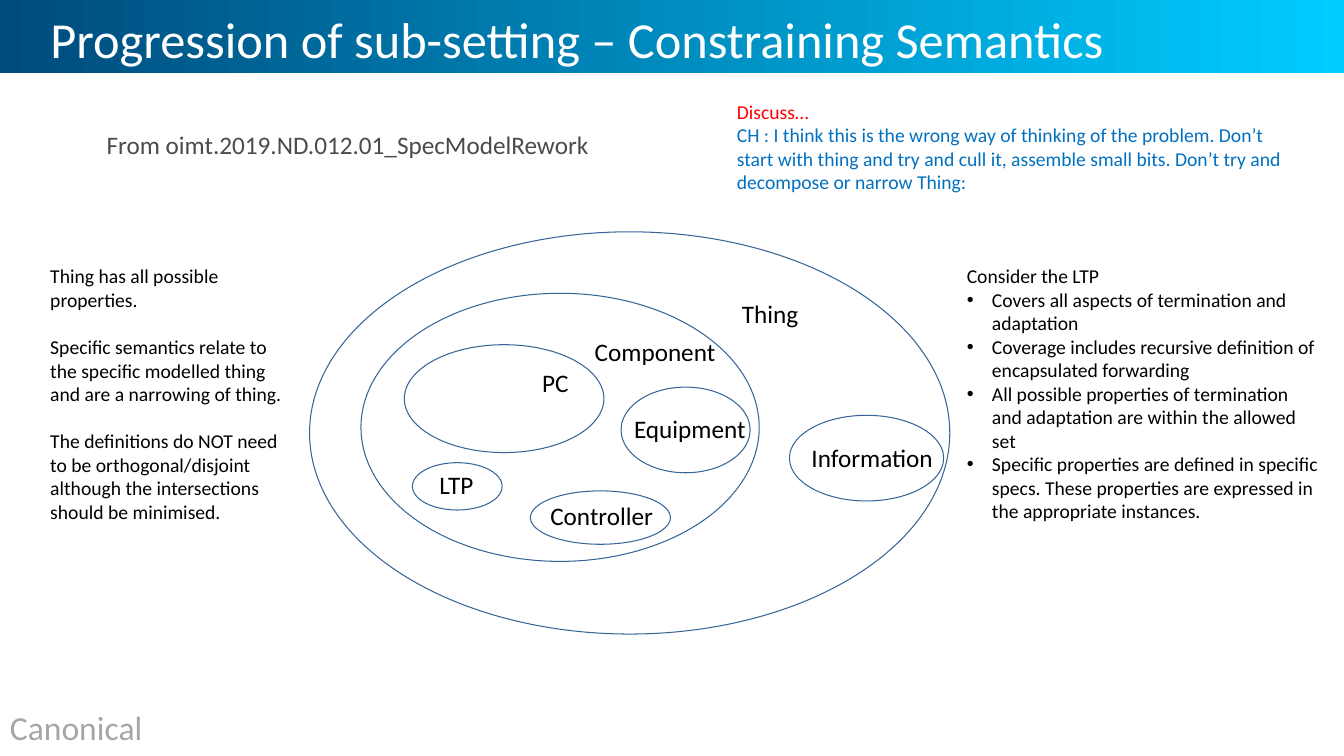
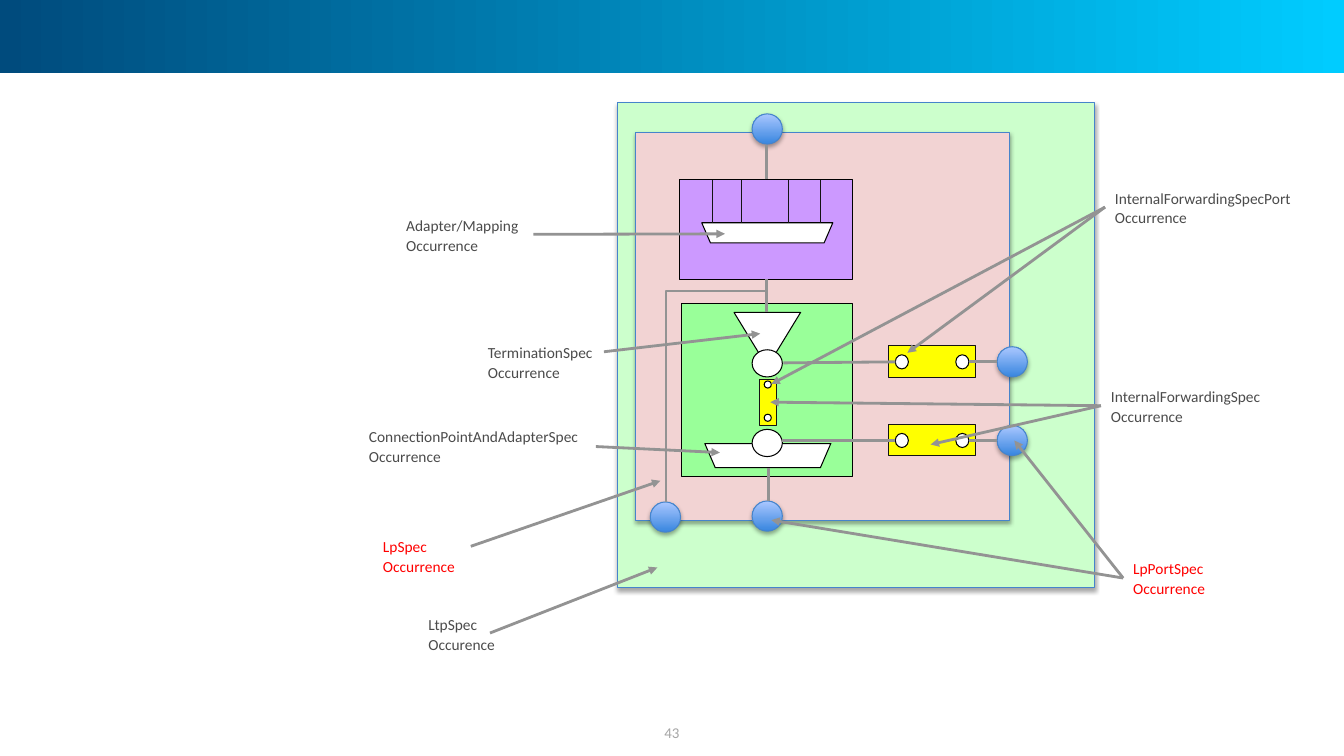
from lxml import etree
from pptx import Presentation
from pptx.dml.color import RGBColor
from pptx.enum.shapes import MSO_CONNECTOR, MSO_SHAPE
from pptx.enum.text import MSO_ANCHOR, MSO_AUTO_SIZE, PP_ALIGN
from pptx.oxml.ns import qn
from pptx.util import Inches, Pt

RECT, OVAL = MSO_SHAPE.RECTANGLE, MSO_SHAPE.OVAL
TRIANGLE, TRAPEZOID = MSO_SHAPE.ISOSCELES_TRIANGLE, MSO_SHAPE.TRAPEZOID
STRAIGHT, ELBOW = MSO_CONNECTOR.STRAIGHT, MSO_CONNECTOR.ELBOW
MIDDLE = MSO_ANCHOR.MIDDLE
FIT_SHAPE, NO_FIT = MSO_AUTO_SIZE.SHAPE_TO_FIT_TEXT, MSO_AUTO_SIZE.NONE
LEFT, CENTER = PP_ALIGN.LEFT, PP_ALIGN.CENTER

FONT = "Calibri"
WHITE = RGBColor(0xFF, 0xFF, 0xFF)
BLACK = RGBColor(0x00, 0x00, 0x00)
INK = RGBColor(0x14, 0x13, 0x13)
DARK_GRAY = RGBColor(0x4B, 0x4B, 0x4B)
MID_GRAY = RGBColor(0x93, 0x93, 0x93)
LIGHT_GRAY = RGBColor(0xA6, 0xA6, 0xA6)
RED = RGBColor(0xFF, 0x00, 0x00)
BLUE = RGBColor(0x00, 0x70, 0xC0)
NAVY = RGBColor(0x37, 0x64, 0x97)
EDGE_BLUE = RGBColor(0x46, 0x84, 0xCB)
PALE_GREEN = RGBColor(0xCC, 0xFF, 0xCC)
GREEN = RGBColor(0x99, 0xFF, 0x99)
PINK = RGBColor(0xF2, 0xD3, 0xD3)
PURPLE = RGBColor(0xCC, 0x99, 0xFF)
YELLOW = RGBColor(0xFF, 0xFF, 0x00)
BAND = (RGBColor(0x00, 0x4B, 0x7D), RGBColor(0x00, 0xCC, 0xFF))
BALL = (RGBColor(0x38, 0x86, 0xDF), RGBColor(0xAA, 0xC7, 0xFF))


def add_shape(s, kind, at, fill=None, line=None, width=0.75, angle=0, shadow=False):
    """Add a preset shape; a pair of colours as fill makes a gradient."""
    sp = s.shapes.add_shape(kind, *map(Inches, at))
    sp.shadow.inherit = False
    if fill is None:
        sp.fill.background()
    elif isinstance(fill, RGBColor):
        sp.fill.solid()
        sp.fill.fore_color.rgb = fill
    else:
        sp.fill.gradient()
        sp.fill.gradient_angle = angle
        for stop, color in zip(sp.fill.gradient_stops, fill):
            stop.color.rgb = color
    if line is None:
        sp.line.fill.background()
    else:
        sp.line.color.rgb = line
        sp.line.width = Pt(width)
    if shadow:
        effects = sp.element.spPr.find(qn("a:effectLst"))
        outer = etree.SubElement(effects, qn("a:outerShdw"), blurRad="40000",
                                 dist="23000", dir="5400000", rotWithShape="0")
        color = etree.SubElement(outer, qn("a:srgbClr"), val="000000")
        etree.SubElement(color, qn("a:alpha"), val="35000")
    return sp


def add_text(s, at, lines, size, color=BLACK, wrap=True):
    """Add a text box with one paragraph for each line."""
    sp = s.shapes.add_textbox(*map(Inches, at))
    tf = sp.text_frame
    tf.word_wrap = wrap
    tf.auto_size = FIT_SHAPE
    tf.text = "\n".join(lines)
    for p in tf.paragraphs:
        for r in p.runs:
            r.font.name = FONT
            r.font.size = Pt(size)
            r.font.color.rgb = color
    return sp


prs = Presentation()
prs.slide_width, prs.slide_height = Inches(13.33), Inches(7.5)

# Slide 1: nested sets
s = prs.slides.add_slide(prs.slide_layouts[5])

# Band shared by all slides, placed at the back of the master
band = add_shape(s, RECT, (0, 0, 13.33, 0.73), BAND)
prs.slide_master.shapes.element.insert(2, band.element)

# Title
title = s.shapes.title
title.left, title.top, title.width, title.height = map(Inches, (0.4, 0, 12.65, 0.73))
tf = title.text_frame
tf.text = "Progression of sub-setting – Constraining Semantics"
tf.auto_size = NO_FIT
tf.vertical_anchor = MIDDLE
p = tf.paragraphs[0]
p.alignment = LEFT
p.line_spacing = Pt(45.3)
font = p.runs[0].font
font.name, font.size, font.color.rgb = FONT, Pt(36), WHITE

# Sets and their labels
for at in [
    (3.07, 2.3, 6.35, 3.99), (3.58, 2.91, 3.95, 2.66), (4.01, 3.42, 1.98, 1.07),
    (5.26, 4.87, 1.39, 0.53), (6.16, 3.84, 1.28, 0.85), (7.83, 4.12, 1.53, 0.85),
    (4.09, 4.59, 0.89, 0.47),
]:
    add_shape(s, OVAL, at, line=NAVY)
for label, x, y, w in [
    ("Thing", 7.26, 2.91, 0.77), ("Component", 5.8, 3.29, 1.41), ("PC", 5.28, 3.59, 0.47),
    ("Controller", 5.36, 4.91, 1.23), ("Equipment", 6.19, 4.05, 1.32),
    ("Information", 7.95, 4.34, 1.42), ("LTP", 4.26, 4.61, 0.54),
]:
    add_text(s, (x, y, w, 0.4), [label], 18, wrap=False)

# Explanation on the left
sp = add_text(s, (0.4, 2.57, 2.57, 2.93), [
    "Thing has all possible properties.",
    "Specific semantics relate to the specific modelled thing and are a narrowing of thing.",
    "The definitions do NOT need to be orthogonal/disjoint although the intersections "
    "should be minimised.",
], 14)
for p in sp.text_frame.paragraphs[1:]:
    p.space_before = Pt(17)

# Bulleted example on the right
sp = add_text(s, (9.49, 2.57, 3.69, 3.16), [
    "Consider the LTP",
    "Covers all aspects of termination and adaptation",
    "Coverage includes recursive definition of encapsulated forwarding",
    "All possible properties of termination and adaptation are within the allowed set",
    "Specific properties are defined in specific specs. These properties are expressed in "
    "the appropriate instances.",
], 14)
for p in sp.text_frame.paragraphs[1:]:
    pPr = p._p.get_or_add_pPr()
    pPr.set("marL", str(Inches(0.25)))
    pPr.set("indent", str(-Inches(0.25)))
    etree.SubElement(pPr, qn("a:buFont"), typeface="Arial")
    etree.SubElement(pPr, qn("a:buChar"), char="•")

# Remarks
add_text(s, (0, 6.96, 1.53, 0.5), ["Canonical"], 24, LIGHT_GRAY, wrap=False)
add_text(s, (0.96, 1.23, 5.03, 0.4), ["From oimt.2019.ND.012.01_SpecModelRework"], 18, DARK_GRAY)
sp = add_text(s, (7.21, 0.94, 5.7, 1.04), [
    "Discuss…",
    "CH : I think this is the wrong way of thinking of the problem. Don’t start with thing "
    "and try and cull it, assemble small bits. Don’t try and decompose or narrow Thing:",
], 14, BLUE)
sp.text_frame.paragraphs[0].runs[0].font.color.rgb = RED

# Slide 2: spec occurrences
s = prs.slides.add_slide(prs.slide_layouts[6])

# Panels
add_shape(s, RECT, (6.12, 1.02, 4.74, 4.81), PALE_GREEN, EDGE_BLUE, shadow=True)
add_shape(s, RECT, (6.3, 1.31, 3.71, 3.85), PINK, EDGE_BLUE, shadow=True)

# Page number
sp = add_text(s, (5.11, 7.07, 3.11, 0.4), ["43"], 10.7, LIGHT_GRAY)
sp.text_frame.auto_size = NO_FIT
sp.text_frame.vertical_anchor = MIDDLE
sp.text_frame.paragraphs[0].alignment = CENTER

# Termination and adapter blocks
add_shape(s, RECT, (6.76, 3.01, 1.69, 1.72), GREEN, BLACK, 0.5)
adapter = add_shape(s, RECT, (6.74, 1.78, 1.72, 0.99), PURPLE, BLACK)
add_shape(s, TRIANGLE, (7.28, 3.1, 0.66, 0.54), WHITE, BLACK).rotation = 180
for at in [(6.99, 4.4, 1.25, 0.24), (6.96, 2.21, 1.3, 0.2)]:
    sp = add_shape(s, TRAPEZOID, at, WHITE, BLACK)
    sp.adjustments[0] = 0.432
    sp.rotation = 180
for y in (3.47, 4.26):
    add_shape(s, OVAL, (7.46, y, 0.3, 0.27), WHITE, BLACK)

# Port balls
for x, y in [(7.46, 1.13), (9.89, 3.44), (9.89, 4.22), (7.46, 4.97), (6.45, 4.98)]:
    add_shape(s, OVAL, (x, y, 0.3, 0.3), BALL, EDGE_BLUE, angle=90, shadow=True)

# Forwarding blocks with their two ports
for y in (3.43, 4.21):
    add_shape(s, RECT, (8.81, y, 0.86, 0.31), YELLOW, INK, 0.5)
    for x in (8.88, 9.48):
        add_shape(s, OVAL, (x, y + 0.09, 0.13, 0.14), WHITE, BLACK)
add_shape(s, RECT, (7.53, 3.76, 0.17, 0.46), YELLOW, INK, 0.5)
for y in (3.78, 4.11):
    add_shape(s, OVAL, (7.58, y, 0.07, 0.07), WHITE, BLACK)

# Connectors: (connector, colour, width, has arrowhead)
connectors = []
for x in (7.07, 7.35, 7.82, 8.14):
    c = s.shapes.add_connector(STRAIGHT, *map(Inches, (x, 1.79, x, 2.21)))
    connectors.append((c, INK, 0.75, False))
for ends, site in [
    ((7.6, 1.78, 7.6, 1.44), 0), ((7.6, 2.77, 7.6, 3.1), 2),
    ((7.76, 4.37, 8.88, 4.37), None), ((9.61, 4.37, 9.89, 4.37), None),
    ((7.77, 3.6, 8.88, 3.59), None), ((9.61, 3.59, 9.89, 3.59), None),
    ((7.62, 4.97, 7.62, 4.64), None),
]:
    c = s.shapes.add_connector(STRAIGHT, *map(Inches, ends))
    if site is not None:
        c.begin_connect(adapter, site)
    connectors.append((c, MID_GRAY, 2, False))

# Bent line from the adapter down to the left ball, turned a quarter
c = s.shapes.add_connector(ELBOW, *map(Inches, (6, 3.38, 8.21, 4.38)))
c.element.spPr.find(qn("a:xfrm")).set("rot", "5400000")
geom = c.element.spPr.find(qn("a:prstGeom"))
guides = geom.find(qn("a:avLst"))
if guides is None:
    guides = etree.SubElement(geom, qn("a:avLst"))
etree.SubElement(guides, qn("a:gd"), name="adj1", fmla="val 5100")
connectors.append((c, MID_GRAY, 2, False))

# Callouts: label, left, top, width, colour, arrow start, arrow tips, joined side
for label, x, y, w, color, start, tips, site in [
    ("LtpSpec Occurence", 4.15, 6.04, 1.13, DARK_GRAY, (4.86, 6.28), [(6.52, 5.63)], None),
    ("Adapter/Mapping Occurrence", 3.93, 2.08, 1.36, DARK_GRAY,
     (5.29, 2.32), [(7.19, 2.32)], 3),
    ("TerminationSpec Occurrence", 4.74, 3.34, 1.54, DARK_GRAY,
     (5.99, 3.49), [(7.54, 3.31)], None),
    ("InternalForwardingSpec Occurrence", 10.92, 3.78, 1.97, DARK_GRAY,
     (10.92, 4.02), [(7.64, 3.99), (9.23, 4.41)], 1),
    ("InternalForwardingSpecPort Occurrence", 10.96, 1.81, 1.97, DARK_GRAY,
     (10.96, 2.06), [(7.65, 3.81), (9, 3.5)], 1),
    ("ConnectionPointAndAdapterSpec Occurrence", 3.56, 4.18, 2.41, DARK_GRAY,
     (5.91, 4.43), [(7.14, 4.49)], None),
    ("LpSpec Occurrence", 3.7, 5.27, 1.27, RED, (4.67, 5.42), [(6.55, 4.77)], None),
    ("LpPortSpec Occurrence", 11.14, 5.49, 1.54, RED,
     (11.14, 5.73), [(10.06, 4.37), (7.65, 5.16)], 1),
]:
    sp = add_text(s, (x, y, w, 0.49), [label], 11, color)
    p = sp.text_frame.paragraphs[0]
    p.line_spacing = 1.07
    p.space_after = Pt(8)
    for tip in tips:
        c = s.shapes.add_connector(STRAIGHT, *map(Inches, start + tip))
        if site is not None:
            c.begin_connect(sp, site)
        connectors.append((c, MID_GRAY, 2, True))

# Connector style
for c, color, width, arrow in connectors:
    c.line.color.rgb = color
    c.line.width = Pt(width)
    if arrow:
        etree.SubElement(c.line._get_or_add_ln(), qn("a:tailEnd"), type="triangle")
    etree.SubElement(c.element.spPr, qn("a:effectLst"))

prs.save("out.pptx")
